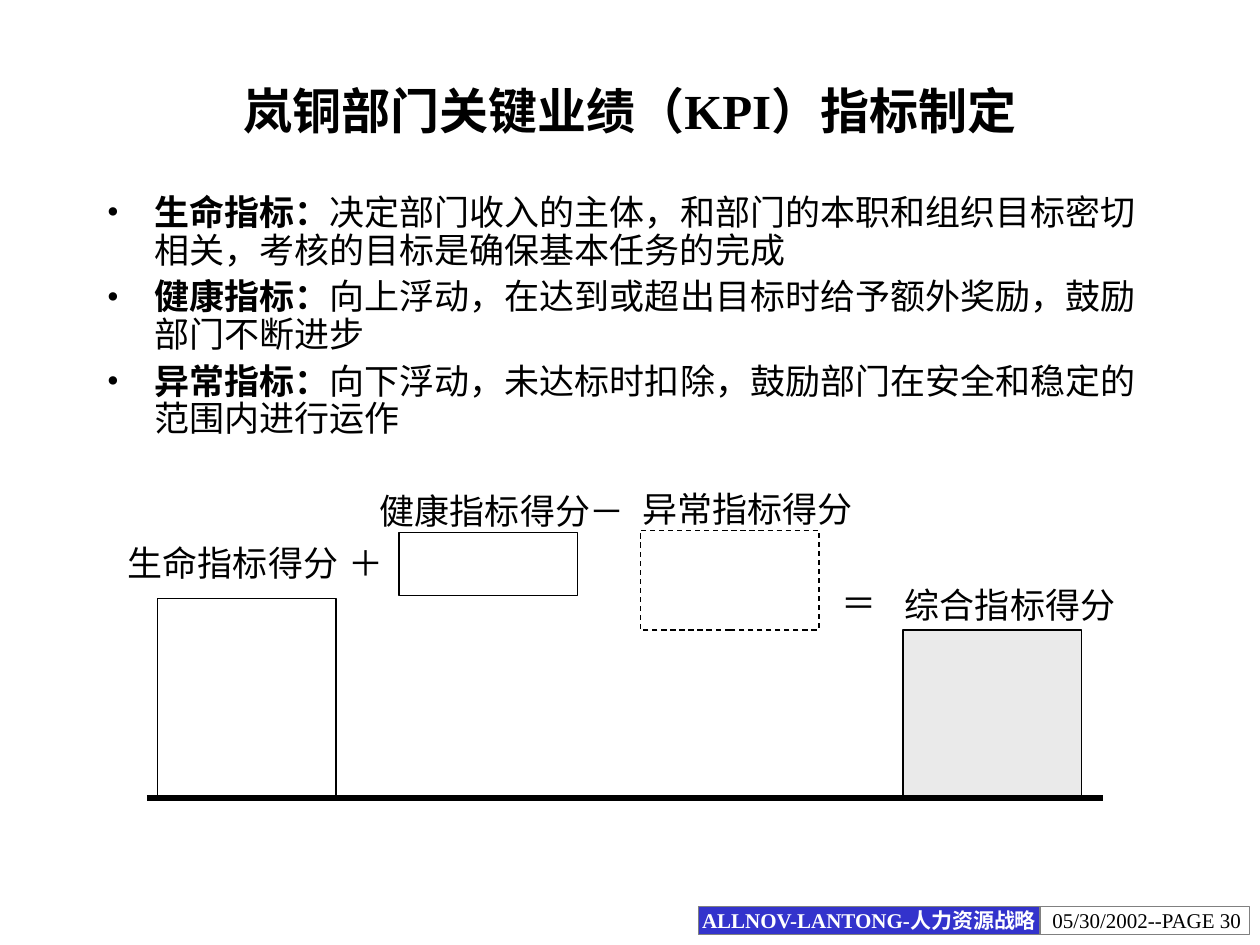
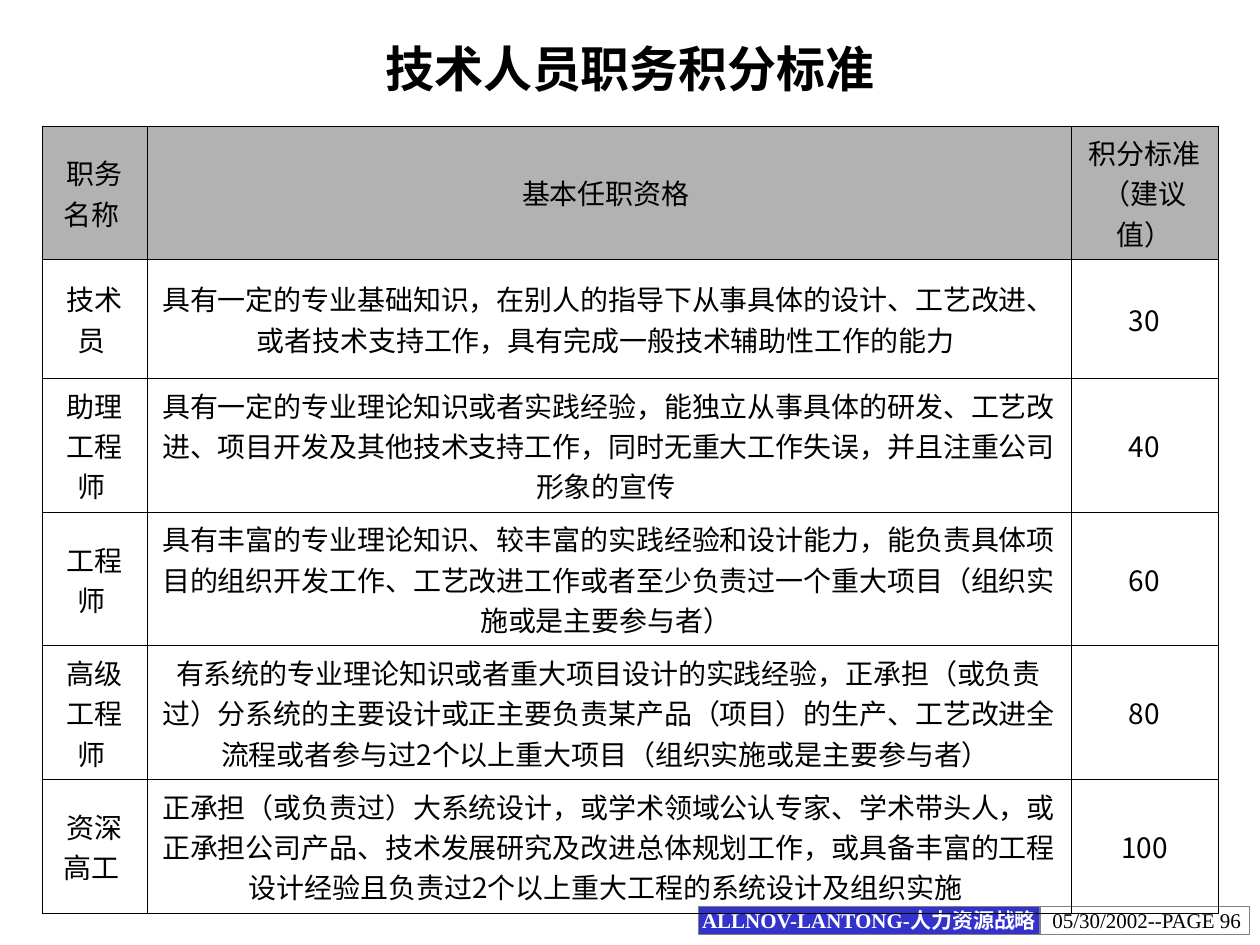
from lxml import etree
from pptx import Presentation
from pptx import util as u
from pptx.dml.color import RGBColor
from pptx.enum import dml, shapes, text
from pptx.oxml import ns

COLORS = {
    "ink": "000000", "paper": "FFFFFF", "band": "3333CC", "edge": "808080",
    "total": "EAEAEA", "header": "B2B2B2",
}
SERIF, SANS = "Times New Roman", "Noto Sans CJK SC"
CENTER, LEFT = text.PP_ALIGN.CENTER, text.PP_ALIGN.LEFT
MIDDLE, TOP = text.MSO_ANCHOR.MIDDLE, text.MSO_ANCHOR.TOP

INDICATORS = [
    ("生命指标：", "决定部门收入的主体，和部门的本职和组织目标密切相关，考核的目标是确保基本任务的完成"),
    ("健康指标：", "向上浮动，在达到或超出目标时给予额外奖励，鼓励部门不断进步"),
    ("异常指标：", "向下浮动，未达标时扣除，鼓励部门在安全和稳定的范围内进行运作"),
]
SCORE_BARS = [
    (90, 342, 114, None, False),
    (228, 304.5, 36, None, False),
    (366, 303, 57, None, True),
    (516, 360, 96, "total", False),
]
SCORE_LABELS = [
    ("生命指标得分", 66, 306, 138),
    ("健康指标得分", 210, 276, 138),
    ("异常指标得分", 360, 275, 144),
    ("综合指标得分", 510, 330, 144),
    ("＋", 192, 306, 36),
    ("－", 330, 276, 36),
    ("＝", 474, 329, 36),
]
GRADES = [
    ("职务名称 ", "基本任职资格 ", "积分标准（建议值）"),
    ("技术员 ", "具有一定的专业基础知识，在别人的指导下从事具体的设计、工艺改进、或者技术支持工作，"
     "具有完成一般技术辅助性工作的能力 ", "30"),
    ("助理工程师 ", "具有一定的专业理论知识或者实践经验，能独立从事具体的研发、工艺改进、项目开发及其他"
     "技术支持工作，同时无重大工作失误，并且注重公司形象的宣传 ", "40"),
    ("工程师 ", "具有丰富的专业理论知识、较丰富的实践经验和设计能力，能负责具体项目的组织开发工作、"
     "工艺改进工作或者至少负责过一个重大项目（组织实施或是主要参与者） ", "60"),
    ("高级工程师 ", "有系统的专业理论知识或者重大项目设计的实践经验，正承担（或负责过）分系统的主要设计"
     "或正主要负责某产品（项目）的生产、工艺改进全流程或者参与过2个以上重大项目"
     "（组织实施或是主要参与者） ", "80"),
    ("资深高工 ", "正承担（或负责过）大系统设计，或学术领域公认专家、学术带头人，或正承担公司产品、"
     "技术发展研究及改进总体规划工作，或具备丰富的工程设计经验且负责过2个以上重大工程的"
     "系统设计及组织实施 ", "100"),
]
COLUMN_WIDTHS = [60, 528, 84]
ROW_HEIGHTS = [76.3, 68] + [76.4] * 4


def rgb(name):
    """Return the named colour."""
    return RGBColor.from_string(COLORS[name])


def points(*lengths):
    """Convert numbers to point lengths."""
    return [u.Pt(n) for n in lengths]


def add_run(p, content, size=20, color="ink", bold=False, font=SERIF):
    """Append a formatted run to a paragraph."""
    r = p.add_run()
    r.text = content
    r.font.size = u.Pt(size)
    r.font.bold = bold
    r.font.color.rgb = rgb(color)
    r.font.name = font
    etree.SubElement(r.font._element, ns.qn("a:ea"), typeface=SANS)


def write(tf, content, align=LEFT, anchor=TOP, wrap=True, **style):
    """Fill a text frame with one formatted paragraph."""
    tf.word_wrap = wrap
    tf.vertical_anchor = anchor
    p = tf.paragraphs[0]
    p.alignment = align
    add_run(p, content, **style)


def add_text(s, content, box, **style):
    """Add a text box."""
    write(s.shapes.add_textbox(*points(*box)).text_frame, content, **style)


def add_rect(s, box, fill=None, line="ink", dashed=False):
    """Add a thinly outlined rectangle."""
    sp = s.shapes.add_shape(shapes.MSO_SHAPE.RECTANGLE, *points(*box))
    sp.shadow.inherit = False
    if fill:
        sp.fill.solid()
        sp.fill.fore_color.rgb = rgb(fill)
    else:
        sp.fill.background()
    sp.line.color.rgb = rgb(line)
    sp.line.width = u.Pt(0.75)
    if dashed:
        sp.line.dash_style = dml.MSO_LINE.DASH
    return sp


def add_baseline(s, x1, x2, y):
    """Add the thick line under the score bars."""
    line = s.shapes.add_connector(shapes.MSO_CONNECTOR.STRAIGHT, *points(x1, y, x2, y))
    line.line.color.rgb = rgb("ink")
    line.line.width = u.Pt(3)
    etree.SubElement(line._element.spPr, ns.qn("a:effectLst"))


def add_bullets(s, items, box):
    """Add bulleted paragraphs with bold lead words."""
    tf = s.shapes.add_textbox(*points(*box)).text_frame
    tf.word_wrap = True
    for i, (lead, detail) in enumerate(items):
        p = tf.add_paragraph() if i else tf.paragraphs[0]
        p.line_spacing = 0.9
        if i:
            p.space_before = u.Pt(5)
        pPr = p._p.get_or_add_pPr()
        pPr.set("marL", str(u.Pt(27)))
        pPr.set("indent", str(u.Pt(-27)))
        etree.SubElement(pPr, ns.qn("a:buFont"), typeface=SERIF)
        etree.SubElement(pPr, ns.qn("a:buChar"), char="•")
        add_run(p, lead, bold=True)
        add_run(p, detail)


def add_borders(cell):
    """Outline a table cell."""
    tcPr = cell._tc.get_or_add_tcPr()
    for side in ("lnL", "lnR", "lnT", "lnB"):
        ln = etree.SubElement(tcPr, ns.qn(f"a:{side}"), w=str(u.Pt(0.45)))
        fill = etree.SubElement(ln, ns.qn("a:solidFill"))
        etree.SubElement(fill, ns.qn("a:srgbClr"), val=COLORS["ink"])


def add_grid(s, rows, x, y):
    """Add a table with a filled header row."""
    size = sum(COLUMN_WIDTHS), sum(ROW_HEIGHTS)
    table = s.shapes.add_table(len(rows), len(COLUMN_WIDTHS), *points(x, y, *size)).table
    table.first_row = table.horz_banding = False
    for column, width in zip(table.columns, COLUMN_WIDTHS):
        column.width = u.Pt(width)
    for i, (row, height) in enumerate(zip(rows, ROW_HEIGHTS)):
        table.rows[i].height = u.Pt(height)
        for j, content in enumerate(row):
            cell = table.cell(i, j)
            add_borders(cell)
            if i == 0:
                cell.fill.solid()
                cell.fill.fore_color.rgb = rgb("header")
            else:
                cell.fill.background()
            cell.vertical_anchor = MIDDLE
            p = cell.text_frame.paragraphs[0]
            p.alignment = CENTER
            add_run(p, content, size=16, font=SANS)


def add_page(prs, title, title_height, number):
    """Add a slide with its footer and title."""
    s = prs.slides.add_slide(prs.slide_layouts[6])
    page = add_rect(s, (594.3, 518, 119.7, 16), "paper", "edge")
    page.text_frame.margin_right = u.Pt(9.5)
    write(page.text_frame, f"05/30/2002--PAGE {number}", anchor=MIDDLE, wrap=False, size=12)
    band = add_rect(s, (399, 518, 195.3, 16), "band", "edge")
    write(band.text_frame, "ALLNOV-LANTONG-人力资源战略", align=CENTER, anchor=MIDDLE,
          wrap=False, size=12, color="paper", bold=True)
    add_text(s, title, (54, 18, 612, title_height), align=CENTER, anchor=MIDDLE,
             size=28, bold=True)
    return s


def main():
    """Build both slides and save them."""
    prs = Presentation()
    prs.slide_width, prs.slide_height = points(720, 540)

    s = add_page(prs, "岚铜部门关键业绩（KPI）指标制定", 90, 30)
    add_bullets(s, INDICATORS, (54, 108, 612, 150))
    for x, y, height, fill, dashed in SCORE_BARS:
        add_rect(s, (x, y, 102, height), fill, dashed=dashed)
    add_baseline(s, 84, 630, 456)
    for label, x, y, width in SCORE_LABELS:
        add_text(s, label, (x, y, width, 31.5))

    s = add_page(prs, "技术人员职务积分标准", 42, 96)
    add_grid(s, GRADES, 24, 72)

    prs.save("out.pptx")


if __name__ == "__main__":
    main()
